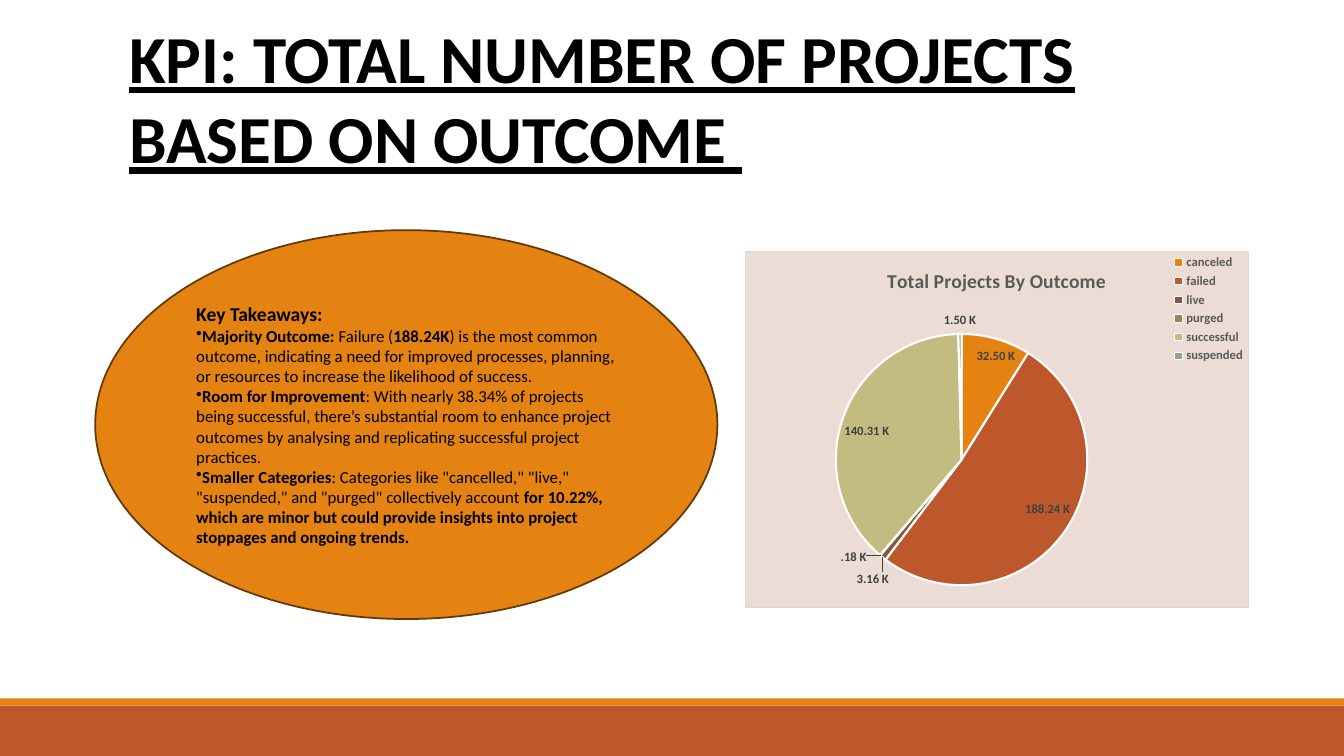
from lxml import etree
from pptx import Presentation
from pptx import util as u
from pptx.chart.data import CategoryChartData
from pptx.dml.color import RGBColor
from pptx.enum import chart as charts, shapes, text
from pptx.oxml import parse_xml
from pptx.oxml.ns import nsdecls, qn

FONT = "Calibri"
ORANGE, RUST, BLACK = "E48312", "BD582C", "000000"
OUTCOMES = [
    ("canceled", 32500, ORANGE),
    ("failed", 188240, RUST),
    ("live", 3160, "865640"),
    ("purged", 180, "9B8357"),
    ("successful", 140310, "C2BC80"),
    ("suspended", 1500, "94A088"),
]
TAKEAWAYS = [
    [("Majority Outcome: ", True), ("Failure (", False), ("188.24K", True),
     (") is the most common outcome, indicating a need for improved processes, "
      "planning, or resources to increase the likelihood of success.", False)],
    [("Room for Improvement", True),
     (": With nearly 38.34% of projects being successful, there’s substantial room "
      "to enhance project outcomes by analysing and replicating successful project "
      "practices.", False)],
    [("Smaller Categories", True),
     (': Categories like "cancelled," "live," "suspended," and "purged" '
      "collectively account ", False),
     ("for 10.22%, which are minor but could provide insights into project "
      "stoppages and ongoing trends.", True)],
]


def color(value):
    return RGBColor.from_string(value)


def style_font(font, size, value, bold=True):
    font.name = FONT
    font.size = u.Pt(size)
    font.bold = bold
    font.color.rgb = color(value)


def add_span(para, words, size, bold=True):
    span = para.add_run()
    span.text = words
    style_font(span.font, size, BLACK, bold)
    return span


def add_solid(page, kind, box, fill):
    shape = page.shapes.add_shape(kind, *box)
    shape.shadow.inherit = False
    shape.fill.solid()
    shape.fill.fore_color.rgb = color(fill)
    shape.line.fill.background()
    return shape


def add_footer(page, box):
    left, top, width, height = box
    stripe = u.Cm(0.18)
    kind = shapes.MSO_SHAPE.RECTANGLE
    add_solid(page, kind, (left, top + stripe, width, height - stripe), RUST)
    add_solid(page, kind, (left, top, width, stripe), ORANGE)


def add_title(page, box):
    title = page.shapes.title
    title.left, title.top, title.width, title.height = box
    frame = title.text_frame
    frame.word_wrap = True
    frame.auto_size = text.MSO_AUTO_SIZE.NONE
    frame.vertical_anchor = text.MSO_ANCHOR.TOP
    para = frame.paragraphs[0]
    para.alignment = text.PP_ALIGN.LEFT
    span = add_span(para, "KPI: TOTAL NUMBER OF PROJECTS BASED ON OUTCOME ", 48)
    span.font.underline = True


def add_takeaways(page, box):
    ellipse = add_solid(page, shapes.MSO_SHAPE.OVAL, box, ORANGE)
    ellipse.line.color.rgb = color("643908")
    ellipse.line.width = u.Pt(1.25)
    frame = ellipse.text_frame
    frame.word_wrap = True
    frame.vertical_anchor = text.MSO_ANCHOR.MIDDLE
    heading = frame.paragraphs[0]
    heading.alignment = text.PP_ALIGN.LEFT
    add_span(heading, "Key Takeaways:", 14)
    for spans in TAKEAWAYS:
        para = frame.add_paragraph()
        para.alignment = text.PP_ALIGN.LEFT
        bullet = etree.SubElement(para._p.get_or_add_pPr(), qn("a:buChar"))
        bullet.set("char", "•")
        for words, bold in spans:
            add_span(para, words, 12, bold)


def place_part(part, index, **sizes):
    for old in part.findall(qn("c:layout")):
        part.remove(old)
    layout = etree.Element(qn("c:layout"))
    manual = etree.SubElement(layout, qn("c:manualLayout"))
    if "h" in sizes:
        etree.SubElement(manual, qn("c:layoutTarget")).set("val", "inner")
    for axis in "xy":
        etree.SubElement(manual, qn(f"c:{axis}Mode")).set("val", "edge")
    for name, share in sizes.items():
        etree.SubElement(manual, qn(f"c:{name}")).set("val", str(share))
    part.insert(index, layout)


def add_outcome_chart(page, box):
    data = CategoryChartData()
    data.categories = [name for name, _, _ in OUTCOMES]
    data.add_series("Series 1", [count for _, count, _ in OUTCOMES])
    chart = page.shapes.add_chart(charts.XL_CHART_TYPE.PIE, *box, data).chart
    style_font(chart.font, 10, BLACK, False)

    chart.has_title = True
    para = chart.chart_title.text_frame.paragraphs[0]
    span = para.add_run()
    span.text = "Total Projects By Outcome"
    style_font(span.font, 14, "595959")
    chart.chart_title.include_in_layout = False

    chart.has_legend = True
    legend = chart.legend
    legend.position = charts.XL_LEGEND_POSITION.CORNER
    legend.include_in_layout = False
    style_font(legend.font, 9, "595959")

    plot = chart.plots[0]
    plot.vary_by_categories = True
    for index, (_, _, fill) in enumerate(OUTCOMES):
        slice_format = plot.series[0].points[index].format
        slice_format.fill.solid()
        slice_format.fill.fore_color.rgb = color(fill)
        slice_format.line.color.rgb = color("FFFFFF")
        slice_format.line.width = u.Pt(1.5)

    plot.has_data_labels = True
    labels = plot.data_labels
    labels.show_value = True
    labels.show_percentage = False
    labels.number_format = '#.00," K"'
    labels.number_format_is_linked = False
    labels.position = charts.XL_LABEL_POSITION.BEST_FIT
    style_font(labels.font, 9, "404040")

    root = chart._chartSpace.find(qn("c:chart"))
    place_part(root.find(qn("c:plotArea")), 0, x=0.18, y=0.23, w=0.5, h=0.71)
    place_part(root.find(qn("c:legend")), 1, x=0.85, y=0)
    root.addnext(parse_xml(
        f'<c:spPr {nsdecls("c", "a")}>'
        '<a:solidFill><a:srgbClr val="EBDCD5"/></a:solidFill>'
        '<a:ln w="9525"><a:solidFill><a:srgbClr val="D9D9D9"/></a:solidFill></a:ln>'
        '</c:spPr>'))


def main():
    deck = Presentation()
    deck.slide_width, deck.slide_height = u.Cm(33.87), u.Cm(19.05)
    page = deck.slides.add_slide(deck.slide_layouts[5])
    footer_top = u.Cm(17.6)
    add_footer(page, (0, footer_top, deck.slide_width, deck.slide_height - footer_top))
    add_outcome_chart(page, (u.Cm(18.77), u.Cm(6.32), u.Cm(12.7), u.Cm(9)))
    add_takeaways(page, (u.Cm(2.4), u.Cm(5.8), u.Cm(15.68), u.Cm(9.8)))
    add_title(page, (u.Cm(3), u.Cm(0.28), u.Cm(26.4), u.Cm(4.37)))
    deck.save("out.pptx")


if __name__ == "__main__":
    main()
